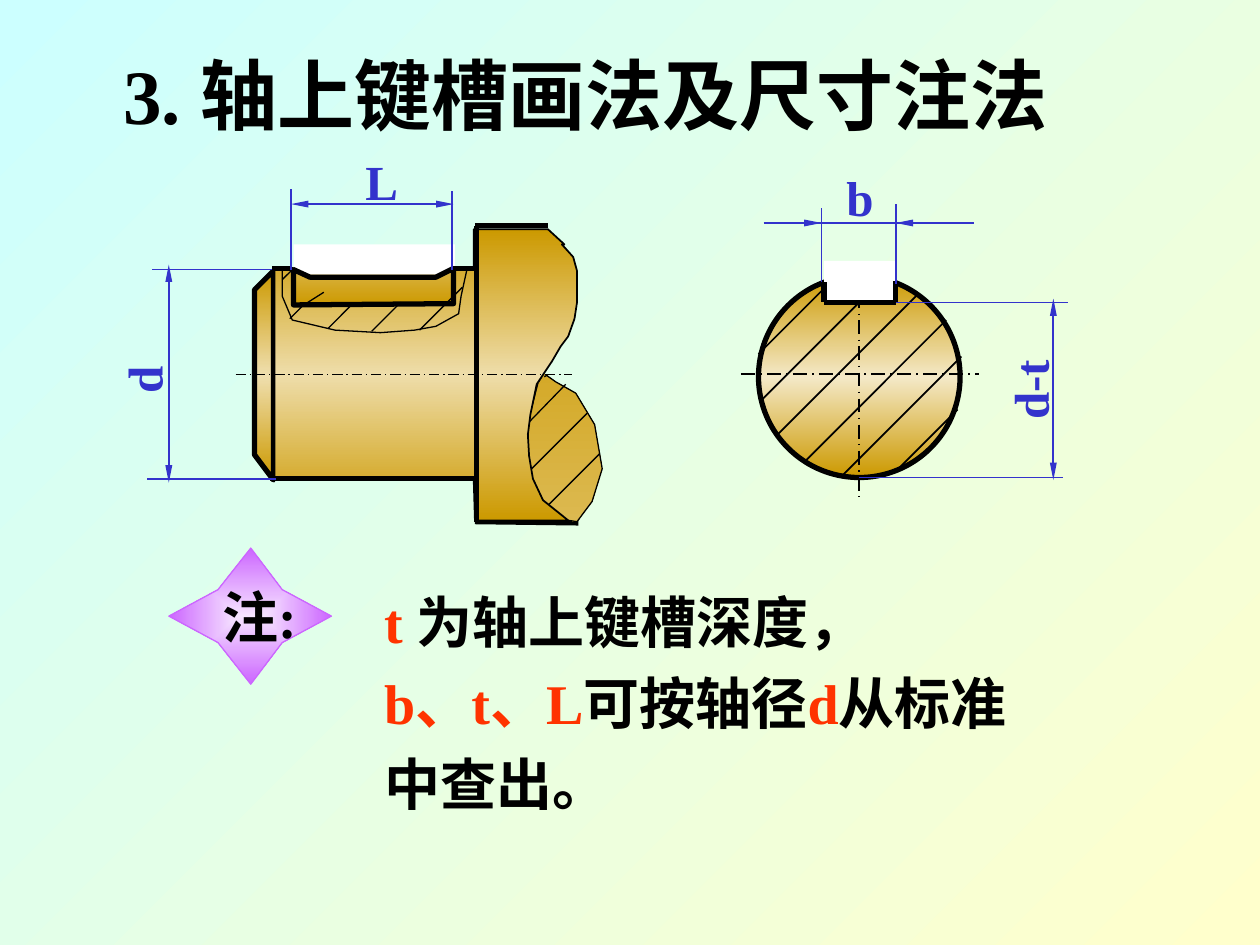
import copy

from pptx import Presentation, oxml, util as u
from pptx.dml import color
from pptx.enum import dml, shapes, text
from pptx.oxml import ns

PX = 9144  # EMU per px, 100 px to the inch
FONT = "Times New Roman"
BLACK, BLUE, RED, WHITE = "000000", "3333CC", "FF3300", "FFFFFF"
BRASS = "CC9900"
THICK, MEDIUM, THIN = 3, 1, 0.75


def rgb(value):
    return color.RGBColor.from_string(value)


def px(*lengths):
    return [u.Emu(length * PX) for length in lengths]


def gradient(fill, colours, angle=90):
    """Evenly spaced stops, the angle measured clockwise."""
    fill.gradient()
    fill.gradient_angle = 360 - angle
    last = fill.gradient_stops[-1]._gs
    for _ in colours[2:]:
        last.addprevious(copy.deepcopy(last))
    for i, (stop, colour) in enumerate(zip(fill.gradient_stops, colours)):
        stop.position = i / (len(colours) - 1)
        stop.color.rgb = rgb(colour)


def paint(shape, fill=None, line=None, width=THIN):
    shape.shadow.inherit = False
    if fill is None:
        shape.fill.background()
    elif isinstance(fill, str):
        shape.fill.solid()
        shape.fill.fore_color.rgb = rgb(fill)
    else:
        gradient(shape.fill, fill)
    if line:
        shape.line.color.rgb = rgb(line)
        shape.line.width = u.Pt(width)
    else:
        shape.line.fill.background()
    return shape


def add_line(part, ends, colour=BLACK, width=MEDIUM, dashed=False, arrows=()):
    line = part.shapes.add_connector(shapes.MSO_CONNECTOR.STRAIGHT, *px(*ends))
    line.line.color.rgb = rgb(colour)
    line.line.width = u.Pt(width)
    if dashed:
        line.line.dash_style = dml.MSO_LINE.LONG_DASH_DOT
    for end in arrows:
        arrow = oxml.xmlchemy.OxmlElement(f"a:{end}")
        for key, value in (("type", "triangle"), ("w", "sm"), ("len", "lg")):
            arrow.set(key, value)
        line.line._get_or_add_ln().append(arrow)
    line._element.spPr.append(oxml.xmlchemy.OxmlElement("a:effectLst"))


def add_lines(part, all_ends, colour=BLACK, width=MEDIUM, **options):
    for ends in all_ends:
        add_line(part, ends, colour, width, **options)


def add_dimension(part, ends):
    add_line(part, ends, BLUE, arrows=("headEnd", "tailEnd"))


def add_outline(part, points, closed, fill=None, line=BLACK, width=THIN):
    builder = part.shapes.build_freeform(*points[0], scale=PX)
    builder.add_line_segments(points[1:], close=closed)
    return paint(builder.convert_to_shape(), fill, line, width)


def add_shape(part, kind, box, **look):
    return paint(part.shapes.add_shape(kind, *px(*box)), **look)


def add_text(part, box, paragraphs, size, wrap=False, rotation=0,
             align=text.PP_ALIGN.CENTER, spacing=None):
    """Each paragraph is a list of (words, colour) runs."""
    label = part.shapes.add_textbox(*px(*box))
    label.rotation = rotation
    frame = label.text_frame
    frame.word_wrap = wrap
    frame.auto_size = text.MSO_AUTO_SIZE.SHAPE_TO_FIT_TEXT
    frame.vertical_anchor = text.MSO_ANCHOR.MIDDLE
    for i, runs in enumerate(paragraphs):
        paragraph = frame.add_paragraph() if i else frame.paragraphs[0]
        paragraph.alignment = align
        paragraph.line_spacing = spacing
        style_font(paragraph.font, size)
        for words, colour in runs:
            run = paragraph.add_run()
            run.text = words
            run.font.color.rgb = rgb(colour)


def style_font(font, size):
    font.name, font.size, font.bold = FONT, u.Pt(size), True


def add_title(slide, words):
    title = slide.shapes.title
    title.left, title.top, title.width, title.height = px(47, 15, 836, 118)
    frame = title.text_frame
    frame.text = words
    frame.vertical_anchor = text.MSO_ANCHOR.MIDDLE
    paragraph = frame.paragraphs[0]
    paragraph.alignment = text.PP_ALIGN.CENTER
    style_font(paragraph.font, 44)
    paragraph.font.color.rgb = rgb(BLACK)


def draw_shaft(part):
    # Shaft edges and the hatched break
    add_lines(part, [(218, 214, 376, 214), (216, 380, 378, 380),
                     (377, 179, 435, 179), (377, 414, 459, 415)], width=THICK)
    add_outline(part, [
        (435, 182), (453, 205), (457, 232), (448, 268), (427, 304), (418, 339),
        (418, 355), (420, 372), (428, 395), (445, 412), (458, 414), (470, 398),
        (478, 372), (472, 337), (457, 312), (441, 303), (434, 298), (432, 299),
    ], False, (BRASS, "DCB950"))
    add_lines(part, [(449, 305, 418, 337), (466, 328, 418, 376),
                     (476, 360, 435, 401)], width=THIN)
    # Chamfer and body
    add_outline(part, [(217, 381), (202, 361), (202, 230), (217, 215)], True,
                (BRASS, "EFDFAF", BRASS), width=THICK)
    add_outline(part, [
        (435, 182), (448, 194), (446, 194), (455, 204), (458, 215), (458, 240),
        (456, 253), (451, 267), (445, 275), (438, 287), (426, 305), (421, 329),
        (419, 345), (420, 362), (423, 380), (431, 397), (451, 413), (377, 413),
        (376, 380), (218, 380), (218, 213), (376, 214), (376, 182),
    ], True, (BRASS, "EEDDAA", BRASS), width=MEDIUM)
    add_line(part, (187, 297, 454, 297), width=THIN, dashed=True)
    add_lines(part, [(378, 179, 378, 414), (214, 380, 377, 380)], width=THICK)
    # Keyway with its local section
    add_shape(part, shapes.MSO_SHAPE.RECTANGLE, (233, 194, 128, 24), fill=WHITE)
    add_outline(part, [(224, 214), (224, 235), (232, 254), (266, 262), (302, 264),
                       (329, 262), (346, 259), (364, 249), (366, 235), (371, 212)],
                False)
    add_outline(part, [(233, 214), (246, 220), (346, 220), (360, 213), (360, 241),
                       (233, 242)], True, ("DAB546", BRASS), width=THICK)
    add_lines(part, [(359, 213, 377, 213), (216, 213, 231, 213)], width=THICK)
    add_lines(part, [(238, 244, 257, 232), (333, 262, 367, 228),
                     (295, 263, 318, 240), (260, 261, 279, 242),
                     (230, 253, 241, 242), (224, 222, 233, 213)], width=THIN)


def draw_section(part):
    add_shape(part, shapes.MSO_SHAPE.OVAL, (602, 219, 160, 160),
              fill=(BRASS, "F4E9C8", BRASS), line=BLACK, width=THICK)
    add_lines(part, [(588, 297, 777, 297), (682, 213, 682, 394)], dashed=True)
    # Hatching
    add_lines(part, [(602, 281, 654, 229), (605, 317, 682, 240),
                     (616, 346, 728, 234), (640, 365, 751, 254),
                     (667, 379, 763, 283), (711, 374, 760, 325)])
    # Keyway
    add_shape(part, shapes.MSO_SHAPE.RECTANGLE, (654, 207, 57, 34), fill=WHITE)
    add_lines(part, [(654, 224, 654, 240), (711, 223, 711, 240),
                     (711, 240, 654, 240)], width=THICK)


def draw_dimensions(slide):
    def start(extension_lines, label, box, **options):
        part = slide.shapes.add_group_shape()
        add_lines(part, extension_lines, BLUE)
        add_text(part, box, [[(label, BLUE)]], 28, **options)
        return part

    diameter = start([(216, 214, 121, 214), (219, 380, 117, 380)],
                     "d", (93, 273, 41, 57), rotation=270)
    add_dimension(diameter, (134, 210, 134, 383))
    depth = start([(711, 240, 848, 240), (682, 379, 844, 379)],
                  "d-t", (777, 281, 80, 57), wrap=True, rotation=270)
    add_dimension(depth, (836, 237, 836, 381))
    length = start([(231, 214, 231, 150), (359, 214, 359, 152)],
                   "L", (280, 115, 46, 57))
    add_dimension(length, (231, 162, 360, 162))
    width = start([(652, 224, 652, 165), (711, 225, 711, 162),
                   (606, 177, 773, 177)], "b", (656, 128, 53, 57), wrap=True)
    add_lines(width, [(639, 177, 652, 177), (739, 177, 711, 177)], BLUE,
              arrows=("tailEnd",))


def draw_note(slide):
    # Star badge, shaded from its centre
    badge = slide.shapes.add_group_shape()
    star = add_outline(badge, [(134, 489), (173, 468), (199, 435), (224, 468),
                               (263, 489), (224, 510), (199, 543), (173, 510)],
                       True, ("F6E4FF", "CC66FF"), "CC66FF")
    linear = star._element.spPr.find(".//" + ns.qn("a:lin"))
    linear.getparent().replace(linear, oxml.parse_xml(
        f'<a:path {ns.nsdecls("a")} path="rect">'
        '<a:fillToRect l="50000" t="50000" r="50000" b="50000"/></a:path>'))
    add_text(badge, (161, 457, 90, 64), [[("注:", BLACK)]], 32)
    # Explanation
    add_text(slide, (295, 451, 538, 202), [
        [("t ", RED), ("为轴上键槽深度，", BLACK)],
        [("b、t、L", RED), ("可按轴径", BLACK), ("d", RED), ("从标准中查出。", BLACK)],
    ], 32, wrap=True, align=text.PP_ALIGN.LEFT, spacing=1.2)


def main():
    deck = Presentation()
    deck.slide_width, deck.slide_height = px(1000, 750)
    slide = deck.slides.add_slide(deck.slide_layouts[5])
    gradient(slide.background.fill, ("CCFFFF", "FFFFCC"), 45)
    add_title(slide, "3. 轴上键槽画法及尺寸注法")
    draw_shaft(slide.shapes.add_group_shape())
    draw_section(slide.shapes.add_group_shape())
    draw_dimensions(slide)
    draw_note(slide)
    deck.save("out.pptx")


if __name__ == "__main__":
    main()
